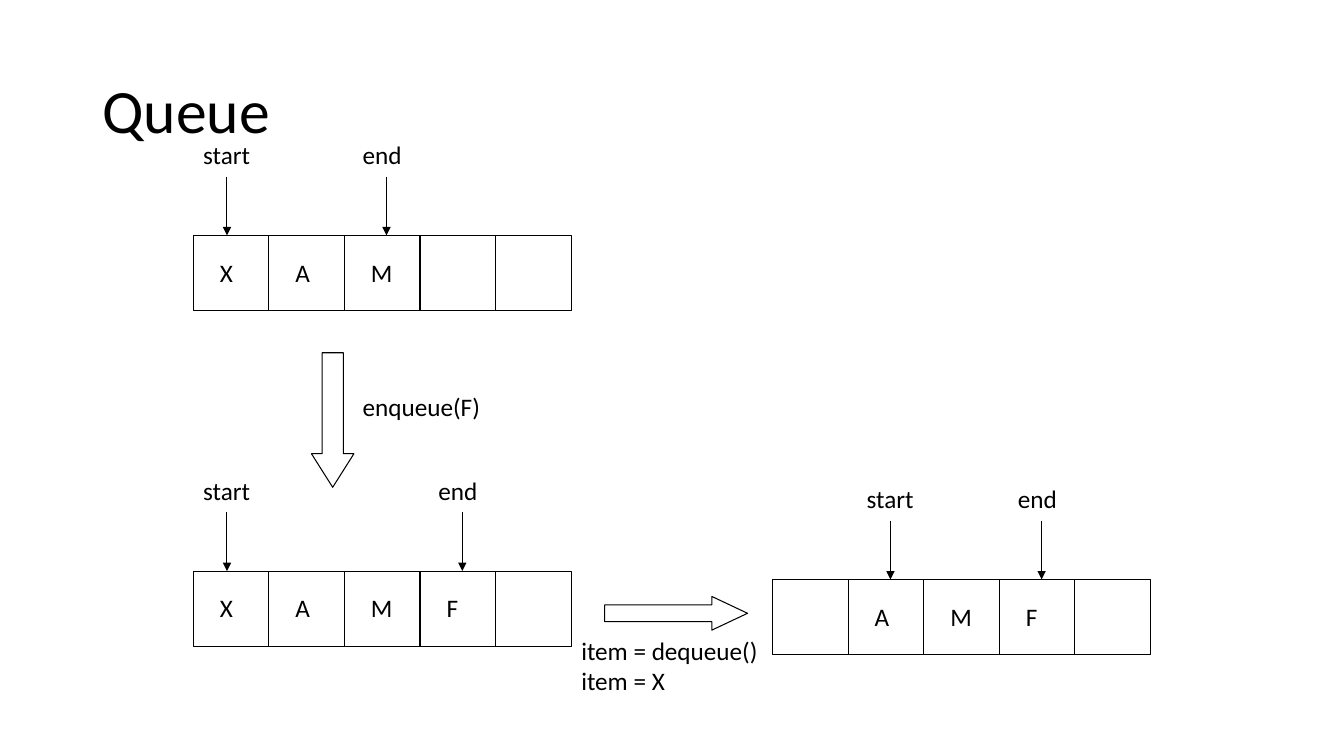
from dataclasses import dataclass
from lxml.etree import SubElement
from pptx import Presentation
from pptx.dml.color import RGBColor
from pptx.enum.shapes import MSO_CONNECTOR as Link, MSO_SHAPE as Form
from pptx.enum.text import MSO_ANCHOR as Anchor, MSO_AUTO_SIZE as Fit, PP_ALIGN as Align
from pptx.oxml.ns import qn
from pptx.util import Cm, Pt


@dataclass(frozen=True)
class Theme:
    font: str = "Calibri"
    ink: RGBColor = RGBColor(0, 0, 0)
    head: Pt = Pt(44)
    body: Pt = Pt(18)
    line: Pt = Pt(0.75)


theme = Theme()
deck = Presentation()
deck.slide_width, deck.slide_height = Cm(33.87), Cm(19.05)
slide = deck.slides.add_slide(deck.slide_layouts[5])
shapes = slide.shapes


def write(text, left, top, width, height=1.02, box=None, size=theme.body,
          wrap=False, fit=Fit.SHAPE_TO_FIT_TEXT, anchor=Anchor.TOP, space=None):
    box = box or shapes.add_textbox(0, 0, 0, 0)
    frame = box.text_frame
    frame.text = text
    frame.word_wrap, frame.auto_size = wrap, fit
    frame.vertical_anchor = anchor
    box.left, box.top = Cm(left), Cm(top)
    box.width, box.height = Cm(width), Cm(height)
    for para in frame.paragraphs:
        para.alignment = Align.LEFT
        para.line_spacing = space
        para.font.name, para.font.size = theme.font, size
        para.font.color.rgb = theme.ink


def draw(form, left, top, width, height):
    shape = shapes.add_shape(form, Cm(left), Cm(top), Cm(width), Cm(height))
    shape.shadow.inherit = False
    shape.fill.background()
    shape.line.color.rgb = theme.ink
    shape.line.width = theme.line
    return shape


write("Queue", 2.33, 1.01, 29.21, 3.68, box=shapes.title, size=theme.head,
      wrap=True, fit=Fit.NONE, anchor=Anchor.MIDDLE, space=0.9)

cell = 1.905
widths = {"X": 0.84, "A": 0.89, "M": 1.07, "F": 0.81, "start": 1.75, "end": 1.57}
queues = [
    (4.87, 5.93, "XAM  ", [("start", 4.87), ("end", 8.89)]),
    (4.87, 14.39, "XAMF ", [("start", 4.87), ("end", 10.8)]),
    (19.47, 14.6, " AMF ", [("start", 21.59), ("end", 25.4)]),
]
for left, top, items, marks in queues:
    for slot, item in enumerate(items):
        x = left + slot * cell
        draw(Form.RECTANGLE, x, top, cell, cell)
        if item != " ":
            write(item, x + 0.42, top + 0.42, widths[item])
    for word, x in marks:
        write(word, x, top - 2.54, widths[word])
        tip = Cm(x + 0.85)
        arrow = shapes.add_connector(Link.STRAIGHT, tip, Cm(top - 1.48), tip, Cm(top))
        arrow.line.color.rgb = theme.ink
        arrow.line.width = theme.line
        SubElement(arrow.line._get_or_add_ln(), qn("a:tailEnd"), type="triangle")
        SubElement(arrow._element.spPr, qn("a:effectLst"))

down = draw(Form.DOWN_ARROW, 7.85, 8.89, 1.07, 3.39)
down.adjustments[1] = 0.79
right = draw(Form.RIGHT_ARROW, 15.24, 15.03, 3.6, 0.85)
right.adjustments[1] = 1.06
write("enqueue(F)", 8.89, 9.74, 3.51)
write("item = dequeue()\nitem = X", 14.4, 15.88, 5.03, 1.8)

deck.save("out.pptx")
